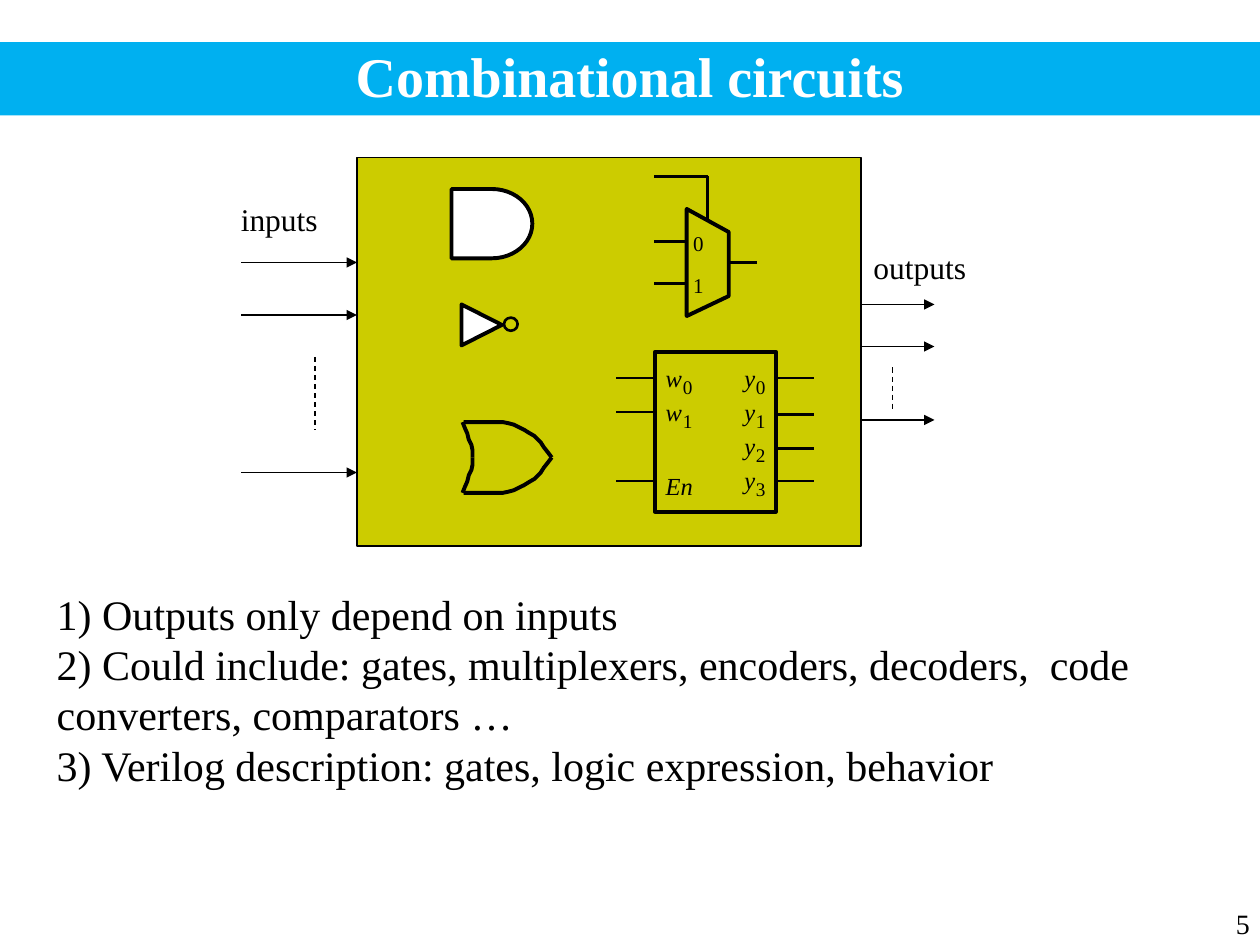
from dataclasses import dataclass

from lxml.etree import SubElement
from pptx import Presentation
from pptx.dml.color import RGBColor
from pptx.enum.dml import MSO_LINE as Dash
from pptx.enum.shapes import MSO_CONNECTOR as Connector, MSO_SHAPE as Preset
from pptx.enum.text import MSO_ANCHOR as Anchor, MSO_AUTO_SIZE as AutoSize, PP_ALIGN as Align
from pptx.oxml.ns import qn
from pptx.util import Inches, Pt


@dataclass(frozen=True)
class Theme:
    font: str = "Times New Roman"
    ink: RGBColor = RGBColor(0, 0, 0)
    paper: RGBColor = RGBColor(255, 255, 255)
    band: RGBColor = RGBColor(0x00, 0xB0, 0xF0)
    circuit: RGBColor = RGBColor(0xCC, 0xCC, 0x00)
    title: int = 32
    body: int = 24
    caption: int = 18
    number: int = 16
    symbol: int = 14
    digit: int = 12
    subscript: int = 11
    thin: float = 0.75
    wire: float = 1.5
    outline: float = 2.25


@dataclass(frozen=True)
class Wire:
    x1: float
    y1: float
    x2: float
    y2: float
    weight: float = 1.5
    dashed: bool = False
    arrow: bool = False


@dataclass(frozen=True)
class Label:
    words: str
    x: float
    y: float
    width: float
    height: float
    size: int
    italic: bool = False
    inset: float = 0
    align: Align = Align.LEFT
    anchor: Anchor = Anchor.TOP


THEME = Theme()
COLUMNS, ROWS = 120, 90

deck = Presentation()
deck.slide_width, deck.slide_height = Inches(10), Inches(7.5)
page = deck.slides.add_slide(deck.slide_layouts[1])


def across(columns: float) -> int:
    return round(deck.slide_width * columns / COLUMNS)


def down(rows: float) -> int:
    return round(deck.slide_height * rows / ROWS)


def place(shape, x: float, y: float, width: float, height: float) -> None:
    shape.left, shape.top = across(x), down(y)
    shape.width, shape.height = across(width), down(height)


def style(shape, weight: float, fill: RGBColor | None = None) -> None:
    shape.shadow.inherit = False
    if fill is None:
        shape.fill.background()
    else:
        shape.fill.solid()
        shape.fill.fore_color.rgb = fill
    shape.line.color.rgb = THEME.ink
    shape.line.width = Pt(weight)


def draw_shape(kind: Preset, x: float, y: float, width: float, height: float,
               weight: float, fill: RGBColor | None = None) -> None:
    shape = page.shapes.add_shape(kind, across(x), down(y), across(width), down(height))
    style(shape, weight, fill)


def draw_outline(points: list[tuple[float, float]], closed: bool,
                 fill: RGBColor | None = None) -> None:
    spots = [(across(x), down(y)) for x, y in points]
    builder = page.shapes.build_freeform(*spots[0], scale=1.0)
    builder.add_line_segments(spots[1:], close=closed)
    style(builder.convert_to_shape(), THEME.outline, fill)


def draw_wire(wire: Wire) -> None:
    line = page.shapes.add_connector(Connector.STRAIGHT, across(wire.x1), down(wire.y1),
                                     across(wire.x2), down(wire.y2))
    line.line.color.rgb = THEME.ink
    line.line.width = Pt(wire.weight)
    if wire.dashed:
        line.line.dash_style = Dash.DASH
    properties = line.element.spPr
    if wire.arrow:
        SubElement(properties.find(qn("a:ln")), qn("a:tailEnd"), type="triangle")
    SubElement(properties, qn("a:effectLst"))


def set_font(para, size: int, color: RGBColor, bold: bool = False, italic: bool = False) -> None:
    font = para.font
    font.name, font.size, font.bold, font.italic = THEME.font, Pt(size), bold, italic
    font.color.rgb = color


def draw_label(label: Label) -> None:
    box = page.shapes.add_textbox(across(label.x), down(label.y),
                                  across(label.width), down(label.height))
    frame = box.text_frame
    frame.word_wrap, frame.vertical_anchor = True, label.anchor
    frame.margin_left = frame.margin_right = Inches(label.inset)
    frame.margin_top = frame.margin_bottom = Inches(label.inset / 2)
    para = frame.paragraphs[0]
    para.text, para.alignment = label.words, label.align
    set_font(para, label.size, THEME.ink, italic=label.italic)


# Title band
title = page.shapes.title
place(title, 0, 4, COLUMNS, 7)
title.fill.solid()
title.fill.fore_color.rgb = THEME.band
title.text_frame.text = "Combinational circuits"
title.text_frame.auto_size = AutoSize.NONE
title.text_frame.vertical_anchor = Anchor.BOTTOM
heading = title.text_frame.paragraphs[0]
heading.alignment = Align.CENTER
set_font(heading, THEME.title, THEME.paper, bold=True)

# Notes below the circuit
body = page.placeholders[1]
place(body, 4.2, 55.4, 109, 25.4)
body.text_frame.text = "\n".join([
    "1) Outputs only depend on inputs",
    "2) Could include: gates, multiplexers, encoders, decoders,  code converters, comparators …",
    "3) Verilog description: gates, logic expression, behavior",
])
body.text_frame.auto_size = AutoSize.NONE
for para in body.text_frame.paragraphs:
    set_font(para, THEME.body, THEME.ink)
    para.space_before = Pt(0)
    bullet = para._p.get_or_add_pPr()
    bullet.set("marL", "0")
    bullet.set("indent", "0")
    SubElement(bullet, qn("a:buNone"))
    bullet.append(bullet.find(qn("a:defRPr")))

# Circuit box, AND gate, inverter
draw_shape(Preset.RECTANGLE, 34, 15, 48, 37, THEME.thin, THEME.circuit)
draw_shape(Preset.FLOWCHART_DELAY, 43, 18, 7.7, 6.6, THEME.outline, THEME.paper)
draw_outline([(47.8, 30.95), (43.95, 32.9), (43.95, 29)], True, THEME.paper)
draw_shape(Preset.OVAL, 48, 30.25, 1.3, 1.25, THEME.wire)

# OR gate: front and back curves, mirrored about the axis
OR_AXIS = 43.57
OR_FRONT = [(44.15, 3.37), (47.9, 3.37), (48.4, 3.27), (48.95, 3.12), (49.45, 2.87),
            (49.9, 2.65), (50.3, 2.4), (50.9, 2.05), (51.15, 1.8), (51.5, 1.45),
            (51.8, 0.97), (52.2, 0.47), (52.55, 0)]
OR_BACK = [(44.05, 3.37), (44.3, 2.75), (44.5, 2.3), (44.65, 1.7), (44.9, 1.2), (45, 0.7), (45, 0)]
for curve in (OR_FRONT, OR_BACK):
    for side in (-1, 1):
        draw_outline([(x, OR_AXIS + side * rise) for x, rise in curve], False)

# Multiplexer and decoder
draw_outline([(69.4, 28.2), (69.4, 22.1), (65.4, 19.9), (65.4, 30.1)], True)
draw_shape(Preset.RECTANGLE, 62.4, 33.5, 11.5, 15.25, THEME.outline)

# Wires
wires = [Wire(62.3, y, 65.4, y) for y in (23, 27)]
wires += [Wire(69.4, 25, 72.1, 25), Wire(67.4, 16.8, 67.4, 21.1), Wire(62.3, 16.8, 67.4, 16.8)]
wires += [Wire(58.7, y, 62.4, y) for y in (36, 39.25, 45.8)]
wires += [Wire(73.9, y, 77.5, y) for y in (36, 39.5, 42.7, 45.8)]
wires += [Wire(23, y, 34, y, THEME.thin, arrow=True) for y in (25, 30, 45)]
wires += [Wire(82, y, 89, y, THEME.thin, arrow=True) for y in (29, 33, 40)]
wires += [Wire(30, 34, 30, 41, THEME.thin, dashed=True),
          Wire(85, 35, 85, 39, THEME.thin, dashed=True)]
for wire in wires:
    draw_wire(wire)

# Labels
labels = [Label(str(row), 66, 22 + 3.95 * row, 1.1, 2.4, THEME.digit) for row in range(2)]
for letter, x, offset, count in (("w", 63.4, 1.65, 2), ("y", 70.9, 1.1, 4)):
    for row in range(count):
        top = 34.55 + 3.24 * row
        labels += [Label(letter, x, top, 2, 2.8, THEME.symbol, italic=True),
                   Label(str(row), x + offset, top + 1.15, 1.5, 2.2, THEME.subscript)]
labels += [
    Label("En", 63.4, 44.9, 3, 2.8, THEME.symbol, italic=True),
    Label("inputs", 21.75, 18.5, 10.5, 4.8, THEME.caption, inset=0.1),
    Label("outputs", 82, 23, 12.2, 4.8, THEME.caption, inset=0.1),
    Label("5", 95.3, 84.1, 24.9, 6, THEME.number, inset=0.1,
          align=Align.RIGHT, anchor=Anchor.BOTTOM),
]
for label in labels:
    draw_label(label)

deck.save("out.pptx")
